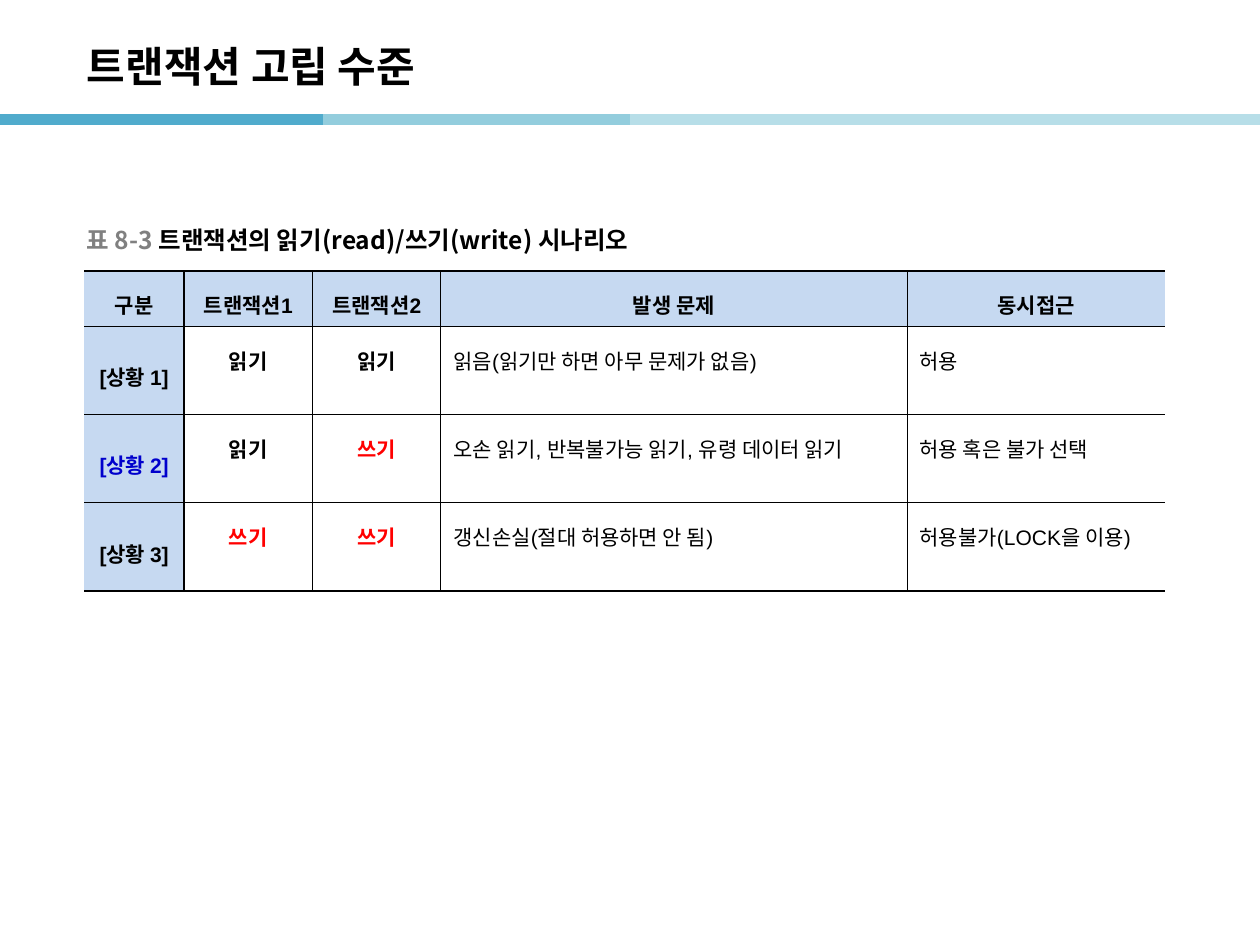
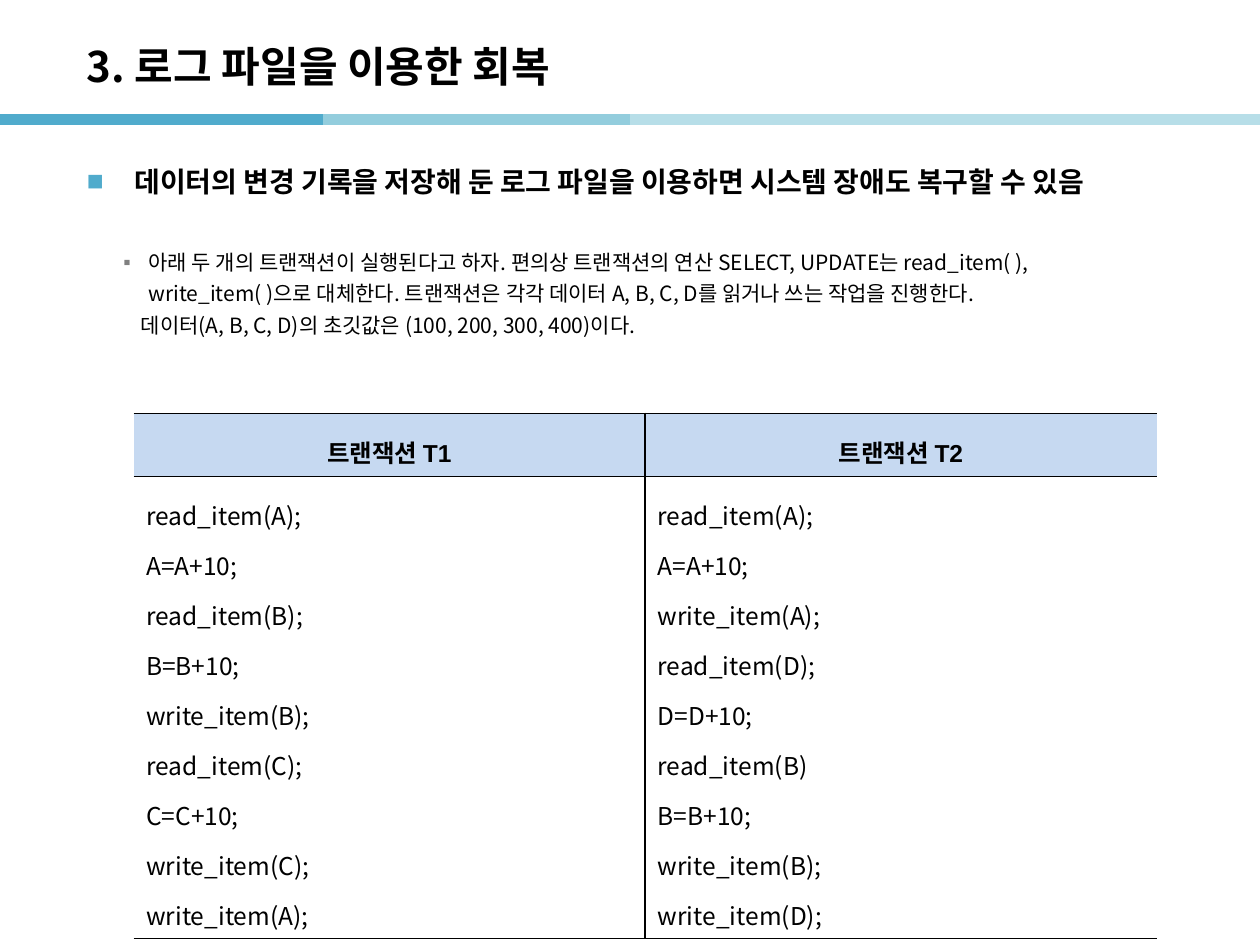
from lxml import etree
from pptx import Presentation
from pptx import util as u
from pptx.dml.color import RGBColor
from pptx.enum import shapes, text
from pptx.oxml import ns

SANS, ARIAL = "Noto Sans CJK KR", "Arial"
BLACK, WHITE, GRAY, BLUE, RED = "000000", "FFFFFF", "808080", "0000CC", "FF0000"
TEAL, MID_TEAL, PALE_TEAL, HEADER = "50ABCC", "93CDDD", "B7DEE8", "C6D9F1"
LEFT, CENTER = text.PP_ALIGN.LEFT, text.PP_ALIGN.CENTER
TOP, MIDDLE = text.MSO_ANCHOR.TOP, text.MSO_ANCHOR.MIDDLE

SCENARIOS = [
    ["구분", "트랜잭션1", "트랜잭션2", "발생 문제", "동시접근"],
    ["[상황 1]", "읽기", "읽기", "읽음(읽기만 하면 아무 문제가 없음)", "허용"],
    ["[상황 2]", "읽기", "쓰기", "오손 읽기, 반복불가능 읽기, 유령 데이터 읽기", "허용 혹은 불가 선택"],
    ["[상황 3]", "쓰기", "쓰기", "갱신손실(절대 허용하면 안 됨)", "허용불가(LOCK을 이용)"],
]
HIGHLIGHTS = {"[상황 2]": BLUE, "쓰기": RED}
TRANSACTIONS = {
    "트랜잭션 T1": ["read_item(A);", "A=A+10;", "read_item(B);", "B=B+10;", "write_item(B);",
                 "read_item(C);", "C=C+10;", "write_item(C);", "write_item(A);"],
    "트랜잭션 T2": ["read_item(A);", "A=A+10;", "write_item(A);", "read_item(D);", "D=D+10;",
                 "read_item(B)", "B=B+10;", "write_item(B);", "write_item(D);"],
}


def color(value):
    return RGBColor.from_string(value)


def add_child(parent, tag, **attributes):
    return etree.SubElement(parent, ns.qn(tag), **attributes)


def add_span(para, words, size=12, bold=False, ink=BLACK, font=SANS):
    span = para.add_run()
    span.text = words
    span.font.size = u.Pt(size)
    span.font.bold = bold
    span.font.color.rgb = color(ink)
    span.font.name = font
    add_child(span.font._element, "a:ea", typeface=SANS)


def set_paragraph(para, align=LEFT, spacing=1.0, before=0, margin=0, hanging=0,
                  bullet=None, bullet_color=TEAL):
    properties = para._p.get_or_add_pPr()
    properties.set("marL", str(u.Inches(margin)))
    properties.set("indent", str(u.Inches(-hanging)))
    if bullet:
        tint = add_child(properties, "a:buClr")
        add_child(tint, "a:srgbClr", val=bullet_color)
        add_child(properties, "a:buFont", typeface=ARIAL)
        add_child(properties, "a:buChar", char=bullet)
    para.alignment = align
    para.line_spacing = spacing
    para.space_before = u.Pt(before)


def add_box(page, left, top, width, height, anchor=TOP):
    box = page.shapes.add_textbox(*map(u.Inches, (left, top, width, height)))
    box.text_frame.word_wrap = True
    box.text_frame.vertical_anchor = anchor
    return box.text_frame


def add_band(page, start, end, shade):
    band = page.shapes.add_connector(
        shapes.MSO_CONNECTOR.STRAIGHT,
        u.Inches(start), u.Inches(0.95), u.Inches(end), u.Inches(0.95))
    band.line.color.rgb = color(shade)
    band.line.width = u.Pt(6)
    add_child(band._element.spPr, "a:effectLst")


def add_page(deck, heading):
    page = deck.slides.add_slide(deck.slide_layouts[5])
    for start, shade in ((0, TEAL), (2.56, MID_TEAL), (5, PALE_TEAL), (7.46, PALE_TEAL)):
        add_band(page, start, start + 2.56, shade)
    title = page.shapes.title
    title.left, title.top, title.width, title.height = map(u.Inches, (0.59, 0.22, 8.27, 0.6))
    title.text_frame.vertical_anchor = MIDDLE
    para = title.text_frame.paragraphs[0]
    para.alignment = LEFT
    add_span(para, heading, size=24, bold=True)
    return page


def set_border(cell, side, width):
    border = add_child(cell._tc.get_or_add_tcPr(), f"a:ln{side}", w=str(u.Pt(width)))
    if width:
        paint = add_child(border, "a:solidFill")
        add_child(paint, "a:srgbClr", val=BLACK)
    else:
        add_child(border, "a:noFill")


def fill_cell(cell, lines, fill=WHITE, align=LEFT, anchor=TOP, **style):
    cell.fill.solid()
    cell.fill.fore_color.rgb = color(fill)
    cell.vertical_anchor = anchor
    for index, line in enumerate(lines):
        para = cell.text_frame.add_paragraph() if index else cell.text_frame.paragraphs[0]
        set_paragraph(para, align=align, spacing=1.4)
        add_span(para, line, **style)


def add_grid(page, left, top, widths, heights, divider):
    rows, columns = len(heights), len(widths)
    table = page.shapes.add_table(
        rows, columns, *map(u.Inches, (left, top, sum(widths), sum(heights)))).table
    table.first_row = table.horz_banding = False
    for column, width in zip(table.columns, widths):
        column.width = u.Inches(width)
    for row, height in zip(table.rows, heights):
        row.height = u.Inches(height)
    for r in range(rows):
        for c in range(columns):
            cell = table.cell(r, c)
            set_border(cell, "L", divider if c else 0)
            set_border(cell, "R", divider if c < columns - 1 else 0)
            set_border(cell, "T", 0.75 if r else 1)
            set_border(cell, "B", 0.75 if r < rows - 1 else 1)
    return table


def build_isolation_page(deck):
    page = add_page(deck, "트랜잭션 고립 수준")
    table = add_grid(page, 0.67, 2.15, [0.79, 1.02, 1.02, 3.7, 2.05],
                     [0.44, 0.7, 0.7, 0.7], divider=0.75)
    for r, row in enumerate(SCENARIOS):
        for c, words in enumerate(row):
            shaded = r == 0 or c == 0
            emphasized = r == 0 or c < 3
            fill_cell(table.cell(r, c), [words],
                      fill=HEADER if shaded else WHITE,
                      align=CENTER if emphasized else LEFT,
                      anchor=MIDDLE if shaded else TOP,
                      bold=emphasized, font=ARIAL,
                      ink=HIGHLIGHTS.get(words, BLACK))
    caption = add_box(page, 0.59, 1.75, 5, 0.31, anchor=MIDDLE).paragraphs[0]
    add_span(caption, "표 8-3 ", size=14, bold=True, ink=GRAY)
    add_span(caption, "트랜잭션의 읽기(read)/쓰기(write) 시나리오", size=14, bold=True)


def build_recovery_page(deck):
    page = add_page(deck, "3. 로그 파일을 이용한 회복")
    body = add_box(page, 0.59, 1.19, 9.21, 5.98)
    claim = body.paragraphs[0]
    set_paragraph(claim, spacing=1.25, margin=0.38, hanging=0.38, bullet="■")
    add_span(claim, "데이터의 변경 기록을 저장해 둔 로그 파일을 이용하면 시스템 장애도 복구할 수 있음",
             size=16, bold=True, font=ARIAL)
    details = [
        ("아래 두 개의 트랜잭션이 실행된다고 하자. 편의상 트랜잭션의 연산 SELECT, UPDATE는 read_item( ),",
         dict(before=29.5, margin=0.49, hanging=0.2, bullet="▪", bullet_color=GRAY)),
        ("write_item( )으로 대체한다. 트랜잭션은 각각 데이터 A, B, C, D를 읽거나 쓰는 작업을 진행한다.",
         dict(before=3.4, margin=0.49)),
        ("데이터(A, B, C, D)의 초깃값은 (100, 200, 300, 400)이다.",
         dict(before=3.4, margin=0.43)),
    ]
    for words, layout in details:
        para = body.add_paragraph()
        para.level = 1
        set_paragraph(para, **layout)
        add_span(para, words)
    table = add_grid(page, 1.06, 3.28, [4.06, 4.06], [0.5, 3.67], divider=1)
    for c, (name, steps) in enumerate(TRANSACTIONS.items()):
        fill_cell(table.cell(0, c), [name], fill=HEADER, align=CENTER, anchor=MIDDLE,
                  size=14, bold=True, font=ARIAL)
        fill_cell(table.cell(1, c), steps, size=14)


def main():
    deck = Presentation()
    deck.slide_width, deck.slide_height = u.Inches(10), u.Inches(7.5)
    build_isolation_page(deck)
    build_recovery_page(deck)
    deck.save("out.pptx")


if __name__ == "__main__":
    main()
